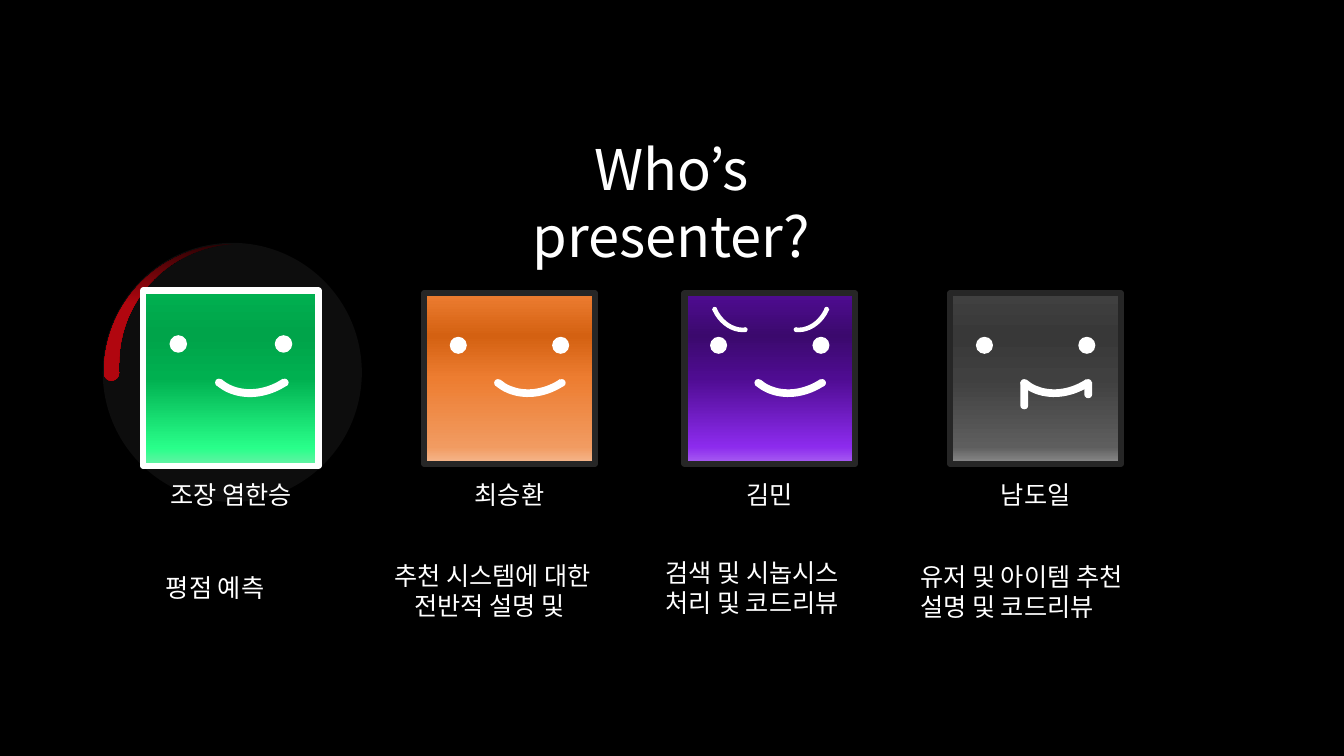
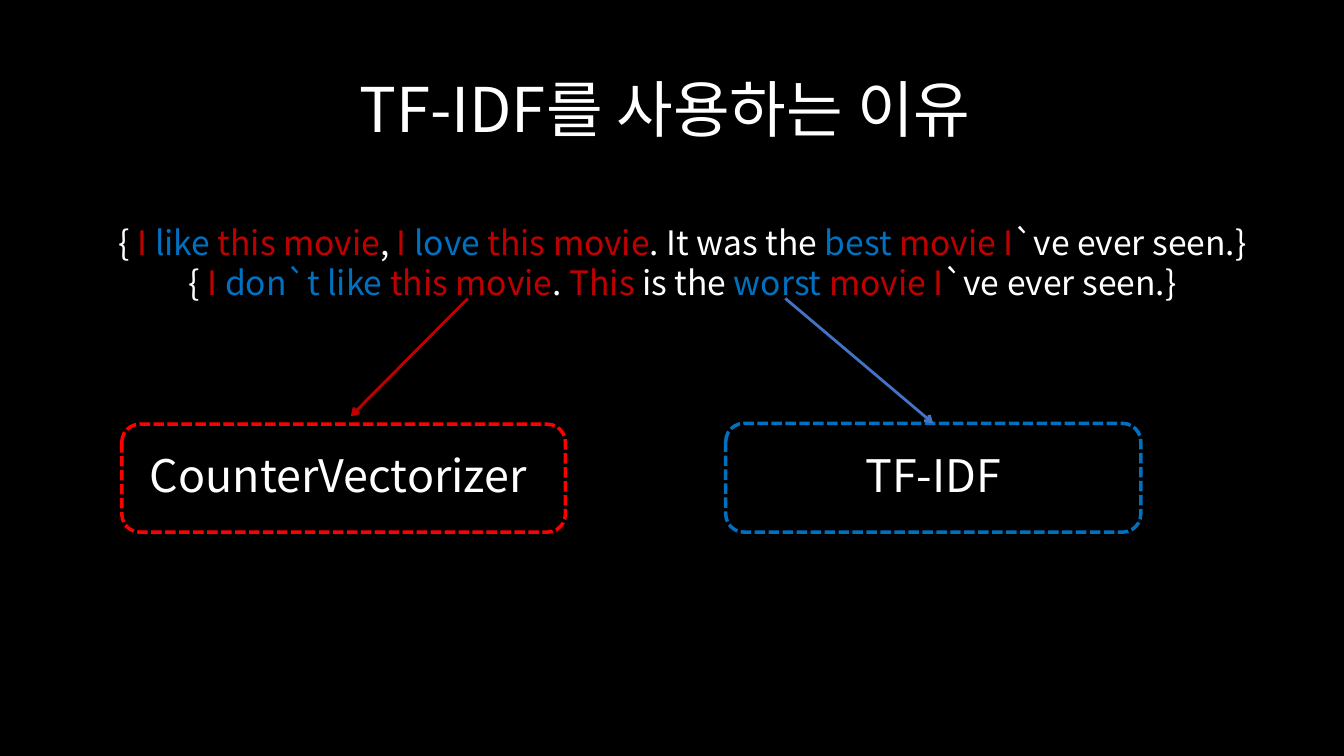
"""Build two dark slides: the presenters of a project and the reason for using TF-IDF."""
from dataclasses import dataclass
from math import cos, radians, sin

from pptx import Presentation
from pptx.dml.color import RGBColor
from pptx.enum.dml import MSO_LINE
from pptx.enum.shapes import MSO_CONNECTOR, MSO_SHAPE
from pptx.enum.text import MSO_ANCHOR, PP_ALIGN
from pptx.oxml.ns import qn
from pptx.oxml.xmlchemy import OxmlElement
from pptx.util import Cm, Pt


@dataclass(frozen=True)
class Theme:
    font: str = "Noto Sans CJK KR"
    background: str = "000000"
    text: str = "FFFFFF"
    frame: str = "262626"
    dial: str = "0D0D0D"
    common: str = "C00000"
    distinct: str = "0070C0"
    counter_frame: str = "FF0000"
    distinct_arrow: str = "4472C4"
    question_size: int = 40
    title_size: int = 44
    method_size: int = 32
    sentence_size: int = 24
    body_size: int = 18
    spinner: tuple = ((0, "2C0204"), (44, "B1060F"), (100, "B1060F"))


THEME = Theme()
TILE_STOPS = (0, 25, 50, 90, 100)
TILE_SIZE = 4.3
TILE_TOP = 7.39
MOUTH_ENDS = (0.41, 0.785)
BROW_AXIS = 1.01

PRESENTERS = [
    dict(name="조장 염한승", left=3.61, top=7.32, size=4.42, frame=THEME.text,
         colours=("00B050", "00A44A", "00B050", "29FF8A", "69F1A7"),
         duty="평점 예측", duty_box=(2.97, 13.87, 4.9, 1.88)),
    dict(name="최승환", left=10.69,
         colours=("ED7D31", "D46112", "ED7D31", "F19B61", "F5B88F"),
         duty="추천 시스템에 대한 전반적 설명 및 ", duty_box=(9.68, 13.94, 5.46, 1.88)),
    dict(name="김민", left=17.25, extra="brows",
         colours=("4F0C92", "3B096D", "4F0C92", "8C2BED", "A960F2"),
         duty="검색 및 시놉시스 처리 및 코드리뷰", duty_box=(16.03, 13.87, 5.84, 1.88)),
    dict(name="남도일", left=23.95, extra="fangs",
         colours=("404040", "383838", "404040", "5E5E5E", "8C8C8C"),
         duty="유저 및 아이템 추천 설명 및 코드리뷰", duty_box=(22.94, 13.97, 6.32, 1.88),
         duty_align=PP_ALIGN.LEFT),
]

PLAIN, COMMON, DISTINCT = THEME.text, THEME.common, THEME.distinct
SENTENCES = [
    [("{ ", PLAIN), ("I ", COMMON), ("like ", DISTINCT), ("this movie", COMMON),
     (", ", PLAIN), ("I ", COMMON), ("love ", DISTINCT), ("this movie", COMMON),
     (". It was the ", PLAIN), ("best ", DISTINCT), ("movie I", COMMON),
     ("`ve ever seen.}", PLAIN)],
    [("{ ", PLAIN), ("I ", COMMON), ("don`t like ", DISTINCT), ("this movie", COMMON),
     (". ", PLAIN), ("This", COMMON), (" is the ", PLAIN), ("worst ", DISTINCT),
     ("movie I", COMMON), ("`ve ever seen.}", PLAIN)],
]


def rgb(colour):
    return RGBColor.from_string(colour)


def style_paragraph(paragraph, size, align=PP_ALIGN.CENTER, spacing=None):
    paragraph.alignment = align
    if spacing:
        paragraph.line_spacing = spacing
    font = paragraph.font
    font.name, font.size = THEME.font, Pt(size)
    font.color.rgb = rgb(THEME.text)
    east_asian = OxmlElement("a:ea")
    east_asian.set("typeface", THEME.font)
    paragraph._p.pPr.find(qn("a:defRPr")).find(qn("a:latin")).addnext(east_asian)


def write_text(shape, text, size, align=PP_ALIGN.CENTER, spacing=None):
    frame = shape.text_frame
    frame.word_wrap = True
    frame.vertical_anchor = MSO_ANCHOR.MIDDLE
    frame.text = text
    style_paragraph(frame.paragraphs[0], size, align, spacing)


def add_text(slide, box, text, size, align=PP_ALIGN.CENTER):
    write_text(slide.shapes.add_textbox(*map(Cm, box)), text, size, align)


def set_title(slide, box, text, size, spacing):
    title = slide.shapes.title
    title.left, title.top, title.width, title.height = map(Cm, box)
    write_text(title, text, size, spacing=spacing)


def fill_gradient(shape, stops):
    shape.fill.gradient()
    shape.fill.gradient_angle = 270
    stop_list = next(shape._element.spPr.iter(qn("a:gsLst")))
    for old_stop in list(stop_list):
        stop_list.remove(old_stop)
    for percent, colour in stops:
        stop = OxmlElement("a:gs")
        stop.set("pos", str(percent * 1000))
        value = OxmlElement("a:srgbClr")
        value.set("val", colour)
        stop.append(value)
        stop_list.append(stop)


def add_plain(shapes, preset, box, colour, rotation=0, adjustments=()):
    shape = shapes.add_shape(preset, *map(Cm, box))
    shape.shadow.inherit = False
    shape.fill.solid()
    shape.fill.fore_color.rgb = rgb(colour)
    shape.line.fill.background()
    shape.rotation = rotation
    for index, value in enumerate(adjustments):
        shape.adjustments[index] = value
    return shape


def arc_points(centre_x, centre_y, radius, start, end, steps=30):
    angles = [radians(start + (end - start) * i / steps) for i in range(steps + 1)]
    return [(Cm(centre_x + radius * cos(a)), Cm(centre_y + radius * sin(a))) for a in angles]


def add_spinner(slide):
    shapes = slide.shapes.add_group_shape().shapes
    add_plain(shapes, MSO_SHAPE.OVAL, (2.59, 6.12, 6.53, 6.53), THEME.dial)
    outline = (arc_points(5.87, 9.4, 3.25, 180, 270)
               + arc_points(6.02, 9.17, 3.02, 264, 180)
               + arc_points(2.81, 9.4, 0.19, 0, 180))
    builder = shapes.build_freeform(*outline[0], scale=1.0)
    builder.add_line_segments(outline[1:], close=True)
    sweep = builder.convert_to_shape()
    sweep.shadow.inherit = False
    fill_gradient(sweep, THEME.spinner)
    sweep.line.fill.background()


def add_face(slide, left, colours, top=TILE_TOP, size=TILE_SIZE, frame=THEME.frame, extra=None):
    shapes = slide.shapes.add_group_shape().shapes

    def feature(preset, x, y, width, height, rotation=0, adjustments=()):
        box = (left + x * size, top + y * size, width * size, height * size)
        return add_plain(shapes, preset, box, THEME.text, rotation, adjustments)

    def dot(x, y, diameter):
        feature(MSO_SHAPE.OVAL, x, y, diameter, diameter)

    def curve(x, y, width, height, rotation):
        return feature(MSO_SHAPE.BLOCK_ARC, x, y, width, height, rotation,
                       (159.88, 209.07, 0.08))

    tile = add_plain(shapes, MSO_SHAPE.RECTANGLE, (left, top, size, size), frame)
    fill_gradient(tile, zip(TILE_STOPS, colours))
    tile.line.color.rgb = rgb(frame)
    tile.line.width = Pt(4.5)
    for x in (0.15, 0.75):
        dot(x, 0.255, 0.1)
    curve(0.32, 0.024, 0.675, 0.568, 148.4)
    for x in MOUTH_ENDS:
        dot(x, 0.503, 0.044)

    if extra == "brows":
        curve(0.49, -0.136, 0.402, 0.337, 114.8)
        mirrored = curve(BROW_AXIS - 0.49 - 0.402, -0.136, 0.402, 0.337, 245.2)
        mirrored._element.spPr.find(qn("a:xfrm")).set("flipH", "1")
        for x, y in ((0.64, 0.2), (0.82, 0.08)):
            dot(x, y, 0.026)
            dot(BROW_AXIS - x - 0.026, y, 0.026)
    elif extra == "fangs":
        for x, length in zip(MOUTH_ENDS, (0.16, 0.095)):
            feature(MSO_SHAPE.ROUND_2_SAME_RECTANGLE, x, 0.52, 0.046, length, 180, (0.5, 0))


def add_method(slide, box, text, colour):
    method = slide.shapes.add_shape(MSO_SHAPE.ROUNDED_RECTANGLE, *map(Cm, box))
    method.shadow.inherit = False
    method.fill.background()
    method.line.color.rgb = rgb(colour)
    method.line.width = Pt(2.5)
    method.line.dash_style = MSO_LINE.SQUARE_DOT
    write_text(method, text, THEME.method_size, spacing=0.9)
    return method


def add_arrow(slide, start, end, colour):
    arrow = slide.shapes.add_connector(MSO_CONNECTOR.STRAIGHT, *map(Cm, start + end))
    arrow.line.color.rgb = rgb(colour)
    arrow.line.width = Pt(2)
    head = OxmlElement("a:tailEnd")
    head.set("type", "arrow")
    arrow.line._get_or_add_ln().append(head)
    arrow._element.spPr.append(OxmlElement("a:effectLst"))
    return arrow


def add_sentences(slide, box, sentences):
    frame = slide.shapes.add_textbox(*map(Cm, box)).text_frame
    frame.word_wrap = True
    for index, sentence in enumerate(sentences):
        paragraph = frame.add_paragraph() if index else frame.paragraphs[0]
        style_paragraph(paragraph, THEME.sentence_size)
        for text, colour in sentence:
            run = paragraph.add_run()
            run.text = text
            run.font.color.rgb = rgb(colour)


def build_presenters(slide):
    set_title(slide, (11.33, 4.09, 11.18, 1.96), "Who’s presenter?", THEME.question_size, 1.0)
    add_spinner(slide)
    for person in PRESENTERS:
        look = {key: person[key] for key in ("left", "colours", "top", "size", "frame", "extra")
                if key in person}
        add_face(slide, **look)
        centre = person["left"] + person.get("size", TILE_SIZE) / 2
        add_text(slide, (centre - 2.58, 11.76, 5.16, 1.42), person["name"], THEME.body_size)
        add_text(slide, person["duty_box"], person["duty"], THEME.body_size,
                 person.get("duty_align", PP_ALIGN.CENTER))


def build_reason(slide):
    set_title(slide, (3.73, 0.99, 26.06, 3.68), "TF-IDF를 사용하는 이유", THEME.title_size, 0.9)
    add_method(slide, (3.07, 10.69, 11.18, 2.72), "CounterVectorizer ", THEME.counter_frame)
    tf_idf = add_method(slide, (18.29, 10.67, 10.46, 2.74), "TF-IDF", THEME.distinct)
    add_sentences(slide, (1.37, 5.46, 31.67, 2.31), SENTENCES)
    add_arrow(slide, (11.79, 7.52), (8.84, 10.49), THEME.common)
    to_tf_idf = add_arrow(slide, (19.79, 7.52), (23.52, 10.67), THEME.distinct_arrow)
    to_tf_idf.end_connect(tf_idf, 0)


def main():
    deck = Presentation()
    deck.slide_width, deck.slide_height = Cm(33.87), Cm(19.05)
    backdrop = deck.slide_master.background.fill
    backdrop.solid()
    backdrop.fore_color.rgb = rgb(THEME.background)
    title_only = deck.slide_layouts[5]
    for build in (build_presenters, build_reason):
        build(deck.slides.add_slide(title_only))
    deck.save("out.pptx")


if __name__ == "__main__":
    main()
